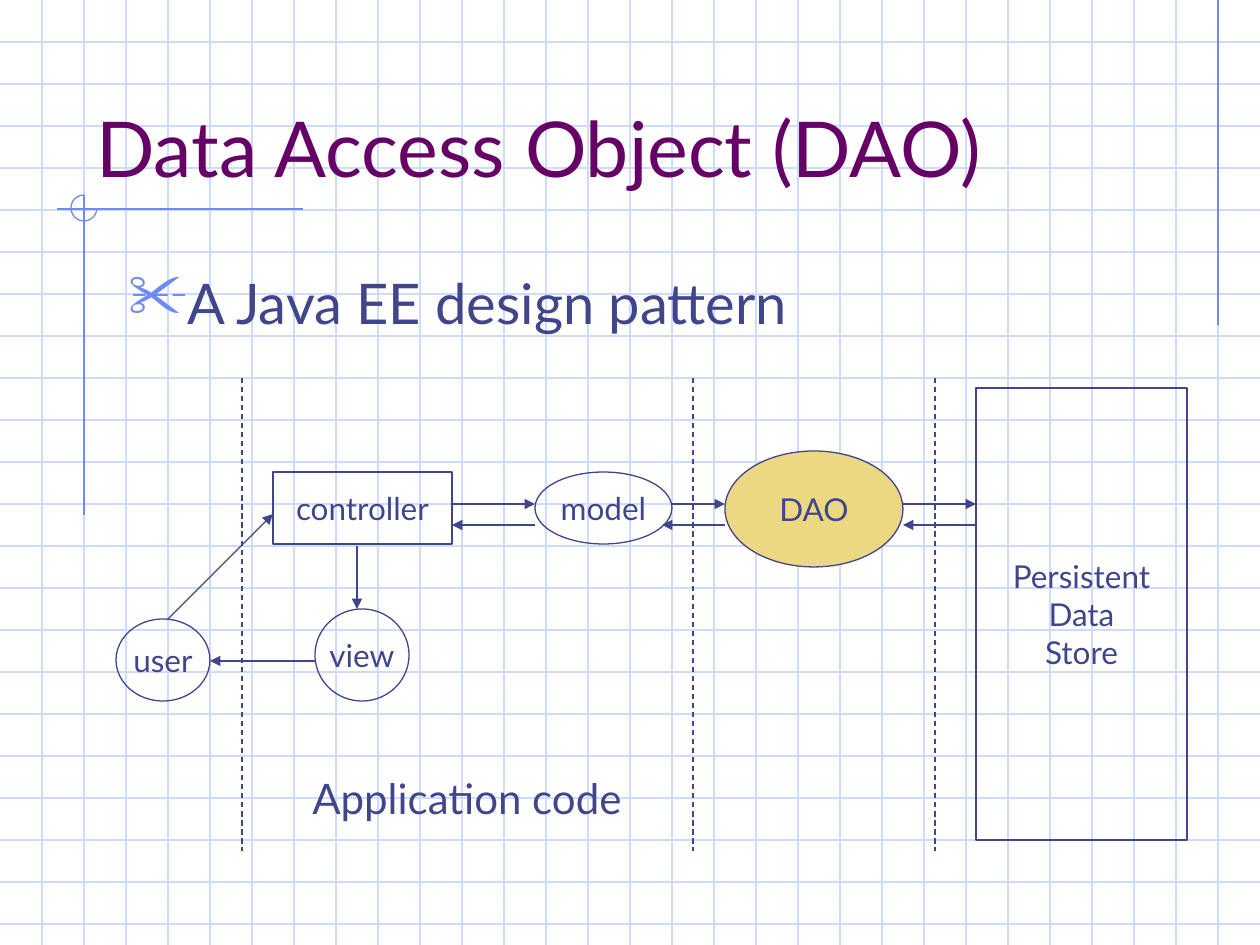
"""Build the Data Access Object slide: grid backdrop, heading and flow diagram."""
import pptx
import pptx.dml.color
import pptx.enum.dml
import pptx.enum.shapes
import pptx.enum.text
import pptx.oxml
import pptx.oxml.ns
import pptx.util

EMU_PER_PX = 914400 / 126
WIDTH, HEIGHT, GRID = 1260, 945, 42
FONT = "Lato"
COLORS = {
    "grid": "CFDBFD",
    "accent": "6F89F7",
    "title": "660066",
    "ink": "40458C",
    "dao": "ECD882",
}
SHAPES = pptx.enum.shapes.MSO_SHAPE
ANCHOR = pptx.enum.text.MSO_ANCHOR
ALIGN = pptx.enum.text.PP_ALIGN


def px(n):
    return pptx.util.Emu(round(n * EMU_PER_PX))


def rgb(name):
    return pptx.dml.color.RGBColor.from_string(COLORS[name])


def set_attrs(obj, values):
    for key, value in values.items():
        setattr(obj, key, value)


def add_xml(parent, tag, **attrs):
    el = pptx.oxml.parse_xml(f"<a:{tag} {pptx.oxml.ns.nsdecls('a')}/>")
    for key, value in attrs.items():
        el.set(key, value)
    parent.append(el)
    return el


def set_line(line, color):
    line.color.rgb = rgb(color)
    line.width = pptx.util.Pt(0.75)


def add_line(s, x1, y1, x2, y2, color="ink", arrow=False, dashed=False):
    sp = s.shapes.add_connector(
        pptx.enum.shapes.MSO_CONNECTOR.STRAIGHT, px(x1), px(y1), px(x2), px(y2))
    set_line(sp.line, color)
    if dashed:
        sp.line.dash_style = pptx.enum.dml.MSO_LINE.DASH
    spPr = sp._element.spPr
    if arrow:
        add_xml(spPr.find(pptx.oxml.ns.qn("a:ln")), "tailEnd", type="triangle")
    add_xml(spPr, "effectLst")


def write_text(sp, text, size, color="ink", align=ALIGN.LEFT, **frame):
    tf = sp.text_frame
    tf.text = text
    set_attrs(tf, frame)
    for p in tf.paragraphs:
        p.alignment = align
        for r in p.runs:
            set_attrs(r.font, {"name": FONT, "size": pptx.util.Pt(size)})
            r.font.color.rgb = rgb(color)
    return tf


def add_text(s, box, text, size, color="ink", **frame):
    sp = s.shapes.add_textbox(*map(px, box))
    return write_text(sp, text, size, color, **frame)


def add_outline(s, kind, box, color="ink", fill=None):
    sp = s.shapes.add_shape(kind, *map(px, box))
    sp.shadow.inherit = False
    set_line(sp.line, color)
    if fill:
        sp.fill.solid()
        sp.fill.fore_color.rgb = rgb(fill)
    else:
        sp.fill.background()
    return sp


def add_node(s, kind, box, text, fill=None):
    sp = add_outline(s, kind, box, fill=fill)
    write_text(sp, text, 18, align=ALIGN.CENTER,
               vertical_anchor=ANCHOR.MIDDLE, word_wrap=False)


def add_bullet(p, char):
    indent = px(48)
    pPr = p._p.get_or_add_pPr()
    pPr.set("marL", str(indent))
    pPr.set("indent", str(-indent))
    p.space_before = pptx.util.Pt(8)
    add_xml(add_xml(pPr, "buClr"), "srgbClr", val=COLORS["accent"])
    add_xml(pPr, "buSzPct", val="110000")
    add_xml(pPr, "buChar", char=char)


def add_backdrop(s):
    for y in range(GRID, HEIGHT, GRID):
        add_line(s, 0, y, WIDTH, y, "grid")
    for x in range(GRID, WIDTH, GRID):
        add_line(s, x, 0, x, HEIGHT, "grid")
    for ends in ((1218, 0, 1218, 325), (303, 209, 57, 209), (84, 195, 84, 515)):
        add_line(s, *ends, "accent")
    arc = add_outline(s, SHAPES.ARC, (71, 195, 26, 26), "accent")
    arc.adjustments[0] = 0
    arc.adjustments[1] = 162


def add_diagram(s):
    nodes = (
        (SHAPES.RECTANGLE, (273, 472, 179, 72), "controller"),
        (SHAPES.OVAL, (116, 619, 94, 82), "user"),
        (SHAPES.OVAL, (535, 472, 137, 72), "model"),
        (SHAPES.OVAL, (315, 609, 94, 92), "view"),
        (SHAPES.OVAL, (725, 451, 178, 116), "DAO", "dao"),
        (SHAPES.RECTANGLE, (976, 388, 211, 452), "Persistent\nData\nStore"),
    )
    for node in nodes:
        add_node(s, *node)
    for left, right, back in ((452, 535, 452), (672, 725, 662), (903, 976, 903)):
        add_line(s, left, 504, right, 504, arrow=True)
        add_line(s, right, 525, back, 525, arrow=True)
    for ends in ((357, 546, 357, 609), (315, 661, 210, 661), (168, 619, 273, 514)):
        add_line(s, *ends, arrow=True)
    for x in (242, 693, 935):
        add_line(s, x, 378, x, 851, dashed=True)
    add_text(s, (300, 766, 352, 63), "Application code", 24, word_wrap=False)


def main():
    prs = pptx.Presentation()
    set_attrs(prs, {"slide_width": px(WIDTH), "slide_height": px(HEIGHT)})
    s = prs.slides.add_slide(prs.slide_layouts[6])
    add_backdrop(s)
    add_text(s, (84, 42, 1071, 157), "Data Access Object (DAO)", 44, "title",
             vertical_anchor=ANCHOR.BOTTOM, word_wrap=True)
    tf = add_text(s, (116, 262, 1071, 95), "A Java EE design pattern", 32,
                  word_wrap=True)
    add_bullet(tf.paragraphs[0], "✂")
    add_diagram(s)
    prs.save("out.pptx")


if __name__ == "__main__":
    main()
